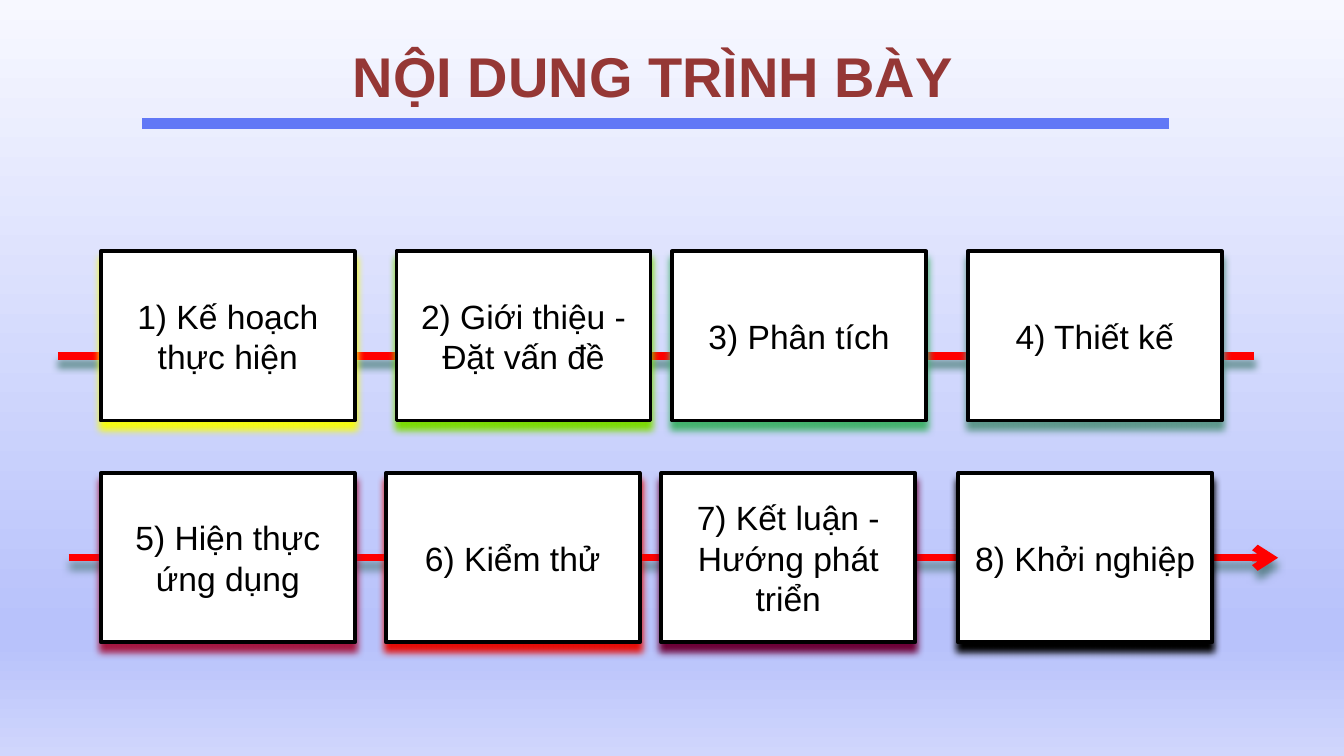
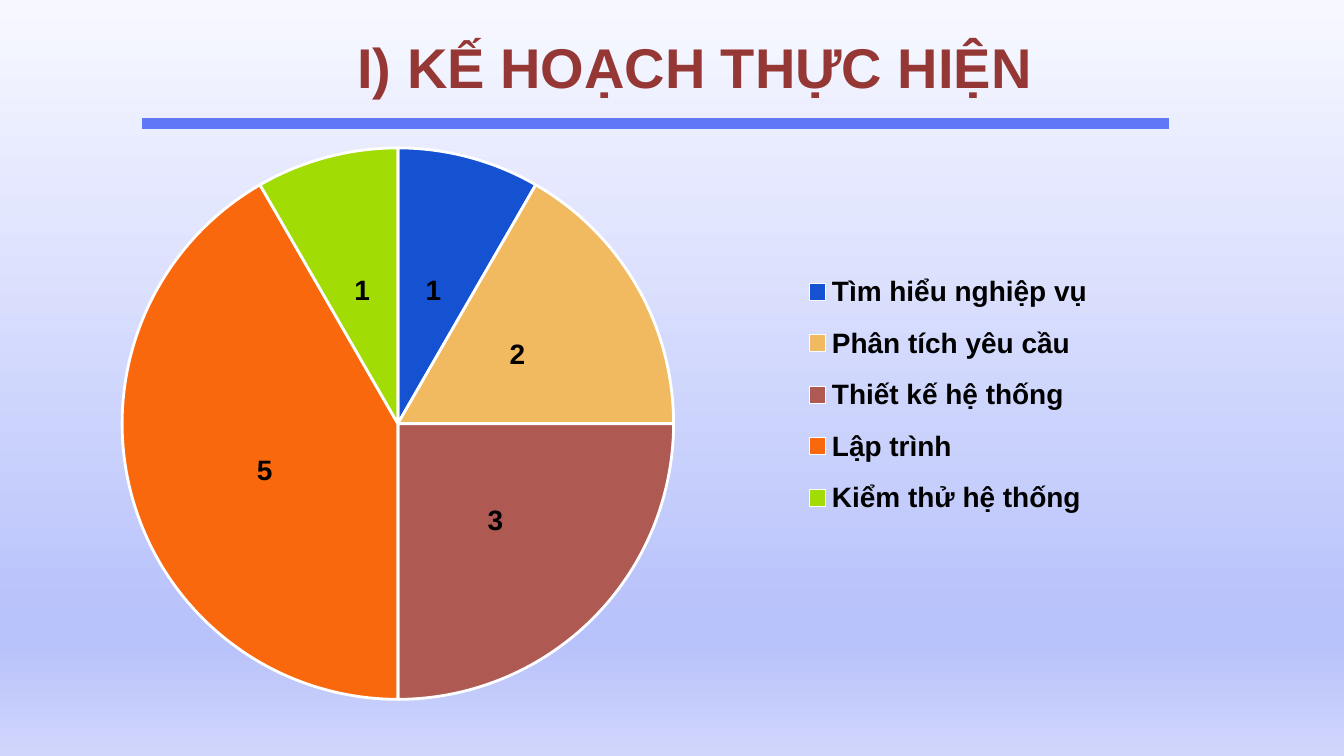
from lxml import etree
from pptx import Presentation
from pptx import util as u
from pptx.chart.data import CategoryChartData
from pptx.dml.color import RGBColor
from pptx.enum import chart as charts, shapes, text
from pptx.oxml.ns import qn

COLORS = {
    "title": "953735", "rule": "6178F6", "arrow": "FF0000",
    "black": "000000", "white": "FFFFFF",
}
FONT = "Arial"
BACKGROUND = [(0, "F7F8FF"), (83, "B8C2FB"), (85, "B8C2FB"), (100, "D0D6FC")]


def add_line(page, start, end, color, width, shadow=None):
    line = page.shapes.add_connector(
        shapes.MSO_CONNECTOR.STRAIGHT, *[u.Inches(n) for n in start + end])
    line.line.color.rgb = RGBColor.from_string(color)
    line.line.width = u.Pt(width)
    set_shadow(line, shadow)
    return line


def set_shadow(item, color):
    """Give a shape or line a soft shadow below it, or none at all."""
    effects = etree.SubElement(item.element.spPr, qn("a:effectLst"))
    if color:
        outer = etree.SubElement(
            effects, qn("a:outerShdw"), blurRad=str(u.Pt(4)), dist=str(u.Pt(4)),
            dir="5400000", algn="t", rotWithShape="0")
        etree.SubElement(outer, qn("a:srgbClr"), val=color)


# Widescreen, 16 to 9
deck = Presentation()
deck.slide_width = u.Inches(10)
deck.slide_height = u.Inches(10 * 9 / 16)

# Shared frame: background, title and rule
titles = [
    ("NỘI DUNG TRÌNH BÀY", (1.01, 0.21, 7.7, 0.81)),
    ("I) KẾ HOẠCH THỰC HIỆN", (2.24, 0.14, 5.86, 0.95)),
]
pages = []
for title, place in titles:
    page = deck.slides.add_slide(deck.slide_layouts[6])
    pages.append(page)

    fill = page.background.fill
    fill.gradient()
    fill.gradient_angle = 270
    stops = page.element.find(".//" + qn("a:gsLst"))
    for stop in list(stops):
        stops.remove(stop)
    for percent, color in BACKGROUND:
        stop = etree.SubElement(stops, qn("a:gs"), pos=str(percent * 1000))
        etree.SubElement(stop, qn("a:srgbClr"), val=color)

    box = page.shapes.add_textbox(*[u.Inches(n) for n in place])
    frame = box.text_frame
    frame.word_wrap = True
    frame.vertical_anchor = text.MSO_ANCHOR.TOP
    frame.margin_left = frame.margin_right = u.Inches(0.1)
    frame.margin_top = frame.margin_bottom = u.Inches(0.1)
    para = frame.paragraphs[0]
    para.text = title
    para.alignment = text.PP_ALIGN.CENTER
    para.font.name, para.font.size, para.font.bold = FONT, u.Pt(30), True
    para.font.color.rgb = RGBColor.from_string(COLORS["title"])

    add_line(page, (8.7, 0.92), (1.06, 0.92), COLORS["rule"], 6)

agenda, plan = pages

# Agenda: two rows of cards, each strung on a red line
rows = [
    {"top": 1.87, "line": (0.43, 9.33, 2.65), "shadow": "5F8D8D", "arrow": False,
     "cards": [(0.75, "1) Kế hoạch thực hiện", "F6FC14"),
               (2.95, "2) Giới thiệu - Đặt vấn đề", "7CDB05"),
               (5, "3) Phân tích", "44B36E"),
               (7.2, "4) Thiết kế", "5E988C")]},
    {"top": 3.52, "line": (0.51, 9.51, 4.15), "shadow": "5D838E", "arrow": True,
     "cards": [(0.75, "5) Hiện thực ứng dụng", "A51842"),
               (2.87, "6) Kiểm thử", "E40D08"),
               (4.92, "7) Kết luận - Hướng phát triển", "6D0238"),
               (7.13, "8) Khởi nghiệp", "000000")]},
]
for row in rows:
    start, end, level = row["line"]
    line = add_line(agenda, (start, level), (end, level), COLORS["arrow"], 4, row["shadow"])
    if row["arrow"]:
        etree.SubElement(line.element.spPr.find(qn("a:ln")), qn("a:tailEnd"), type="arrow")

    for left, label, shadow in row["cards"]:
        card = agenda.shapes.add_shape(
            shapes.MSO_SHAPE.RECTANGLE, u.Inches(left), u.Inches(row["top"]),
            u.Inches(1.89), u.Inches(1.26))
        card.fill.solid()
        card.fill.fore_color.rgb = RGBColor.from_string(COLORS["white"])
        card.line.color.rgb = RGBColor.from_string(COLORS["black"])
        card.line.width = u.Pt(2)
        set_shadow(card, shadow)
        frame = card.text_frame
        frame.word_wrap = True
        frame.vertical_anchor = text.MSO_ANCHOR.MIDDLE
        para = frame.paragraphs[0]
        para.text = label
        para.alignment = text.PP_ALIGN.CENTER
        para.font.name, para.font.size = FONT, u.Pt(18)
        para.font.color.rgb = RGBColor.from_string(COLORS["black"])

# Plan: pie of the work phases
phases = [
    ("Tìm hiểu nghiệp vụ", 1, "1552D1"),
    ("Phân tích yêu cầu", 2, "F1B960"),
    ("Thiết kế hệ thống", 3, "AE5952"),
    ("Lập trình", 5, "F9680D"),
    ("Kiểm thử hệ thống", 1, "A1DC04"),
]
data = CategoryChartData()
data.categories = [name for name, value, color in phases]
data.add_series("Series 1", [value for name, value, color in phases])
chart = plan.shapes.add_chart(
    charts.XL_CHART_TYPE.PIE, u.Inches(0.35), u.Inches(1.03),
    u.Inches(9.16), u.Inches(4.6), data).chart
chart.has_title = False
chart.font.name, chart.font.size = FONT, u.Pt(10)
chart.font.color.rgb = RGBColor.from_string(COLORS["black"])

pie = chart.plots[0]
pie.vary_by_categories = True
series = pie.series[0]
for index, (name, value, color) in enumerate(phases):
    piece = series.points[index].format
    piece.fill.solid()
    piece.fill.fore_color.rgb = RGBColor.from_string(color)
    piece.line.color.rgb = RGBColor.from_string(COLORS["white"])
    piece.line.width = u.Pt(1.5)

labels = series.data_labels
labels.show_value = True
labels.show_percentage = False
coding_label = series.points[3].data_label
for label in (labels, coding_label):
    label.position = charts.XL_LABEL_POSITION.CENTER

chart.has_legend = True
legend = chart.legend
legend.position = charts.XL_LEGEND_POSITION.BOTTOM
legend.include_in_layout = False
for font in (labels.font, coding_label.font, legend.font):
    font.name, font.size, font.bold = FONT, u.Pt(15), True
    font.color.rgb = RGBColor.from_string(COLORS["black"])

# Places of pie and legend, and a nudge for one label, as shares of the chart
layouts = [
    ("c:plotArea", 0, ("layoutTarget", "xMode", "yMode"), (0.061, 0.015, 0.448, 0.893)),
    ("c:legend", 1, ("xMode", "yMode"), (0.607, 0.19, 0.25, 0.45)),
    ("c:dLbl", 1, (), (0, 0.018)),
]
for tag, position, modes, place in layouts:
    area = chart.element.find(".//" + qn(tag))
    for old in area.findall(qn("c:layout")):
        area.remove(old)
    layout = etree.Element(qn("c:layout"))
    area.insert(position, layout)
    manual = etree.SubElement(layout, qn("c:manualLayout"))
    for mode in modes:
        value = "inner" if mode == "layoutTarget" else "edge"
        etree.SubElement(manual, qn("c:" + mode), val=value)
    for side, share in zip("xywh", place):
        etree.SubElement(manual, qn("c:" + side), val=str(share))

deck.save("out.pptx")
